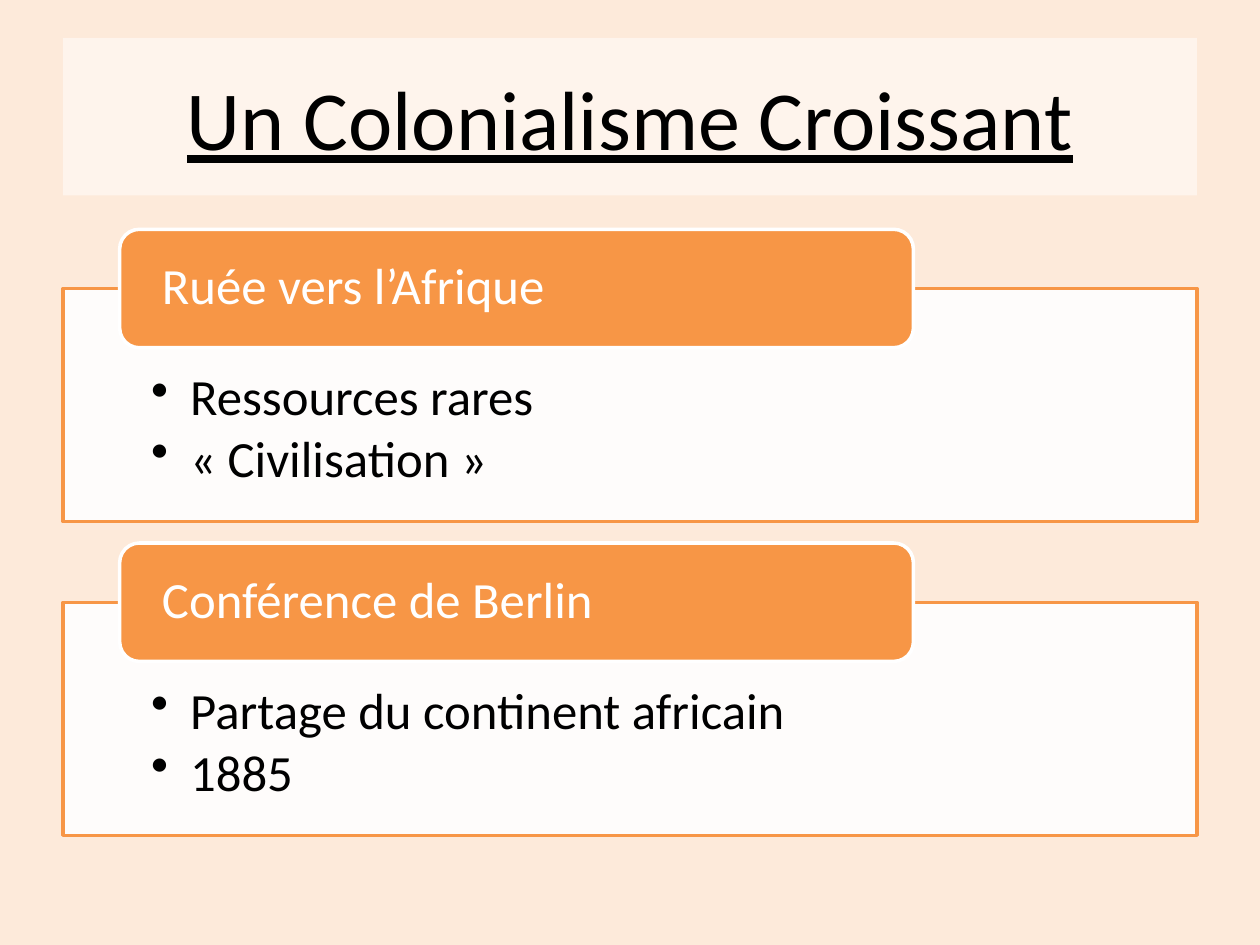
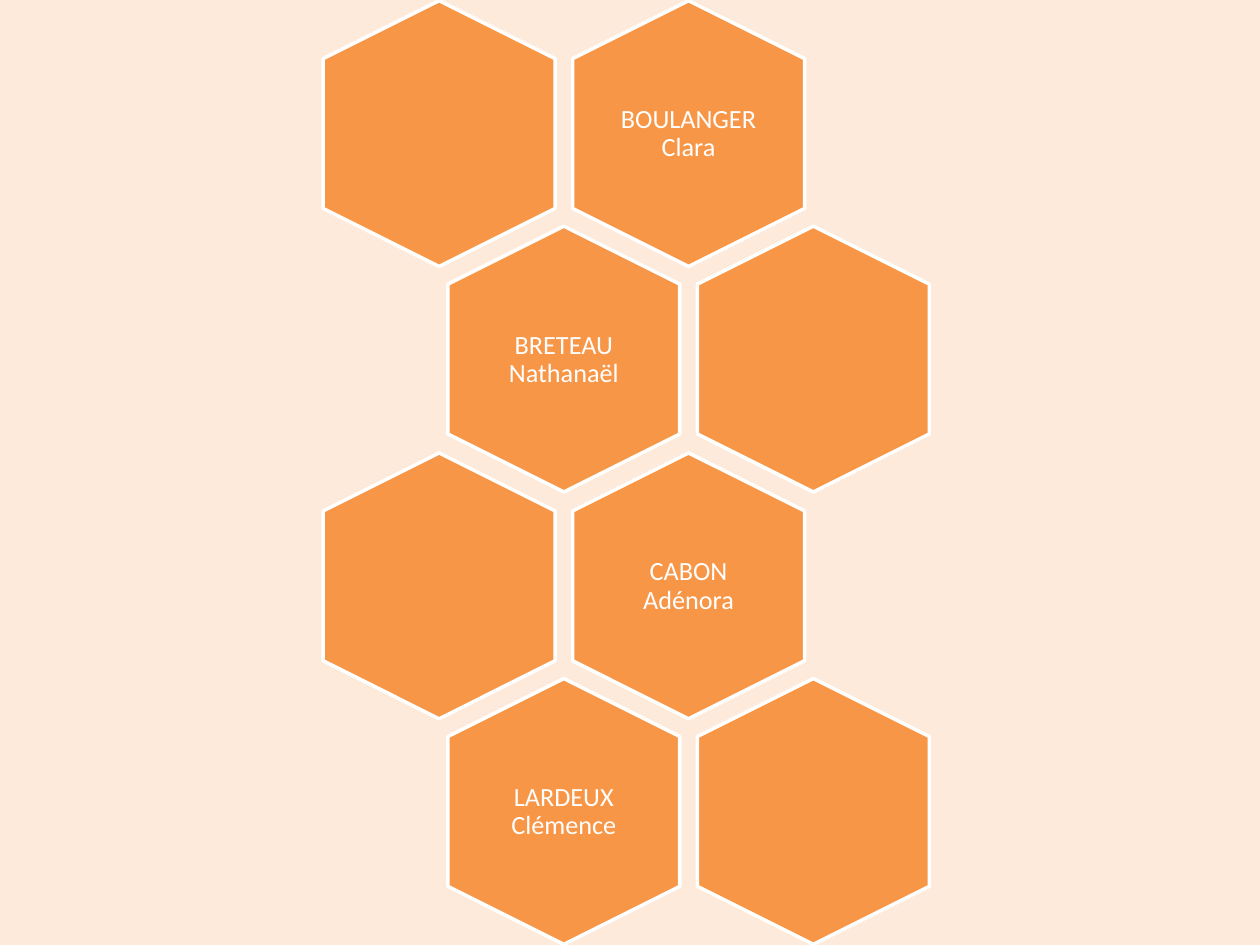
"""Build two slides on colonialism: topic panels and a honeycomb of names."""
from dataclasses import dataclass
from typing import Any, NamedTuple

from lxml.etree import SubElement
from pptx import Presentation
from pptx.dml.color import RGBColor
from pptx.enum.shapes import MSO_SHAPE
from pptx.enum.text import MSO_ANCHOR, PP_ALIGN
from pptx.oxml.ns import qn
from pptx.shapes.autoshape import Shape
from pptx.slide import Slide
from pptx.util import Emu, Pt

EMU_PER_PX = 9144
COLORS = {"page": "FDEADA", "accent": "F79646", "white": "FFFFFF", "black": "000000"}
FONT = "Calibri"
OUTLINE_PT = 2
BULLET_INDENT = 31
PANEL_PITCH = 249
HEX_COLUMN_PITCH, HEX_ROW_SHIFT, HEX_ROW_PITCH = 198, 99, 179.4


class Box(NamedTuple):
    """Left, top, width and height in px."""

    left: int
    top: int
    width: int
    height: int

    def moved(self, right: int, down: int) -> "Box":
        """Return the same box at another place."""
        return self._replace(left=self.left + right, top=self.top + down)

    def emu(self) -> list[Emu]:
        """Return the four lengths in EMU."""
        return [px(length) for length in self]


@dataclass(frozen=True)
class Look:
    """Fill, opacity and outline of a shape."""

    fill: str
    opacity: int = 100
    outline: str | None = None


@dataclass(frozen=True)
class TextStyle:
    """Size, colour and layout of a text; insets are in px."""

    size: int
    color: str
    insets: tuple[int, int, int, int]
    align: PP_ALIGN = PP_ALIGN.LEFT
    anchor: MSO_ANCHOR = MSO_ANCHOR.MIDDLE
    line_spacing: float = 0.9
    space_after: int = 0
    underline: bool = False
    bulleted: bool = False


@dataclass(frozen=True)
class Topic:
    """A heading and its points."""

    heading: str
    points: tuple[str, ...]


TITLE_BOX = Box(50, 30, 900, 125)
PANEL_BOX = Box(50, 229, 900, 185)
HEADING_BOX = Box(95, 182, 630, 94)
HEX_BOX = Box(243, 14, 211, 184)
NAME_BOX = HEX_BOX.moved(42, 20)._replace(width=127, height=145)

TITLE_LOOK = Look("white", opacity=50)
PANEL_LOOK = Look("white", opacity=90, outline="accent")
ACCENT_LOOK = Look("accent", outline="white")

TITLE_STYLE = TextStyle(48, "black", (10, 5, 10, 5), PP_ALIGN.CENTER,
                        line_spacing=1.0, underline=True)
POINT_STYLE = TextStyle(29, "black", (70, 66, 70, 23), anchor=MSO_ANCHOR.TOP,
                        space_after=4, bulleted=True)
HEADING_STYLE = TextStyle(29, "white", (29, 0, 29, 0))
NAME_STYLE = TextStyle(15, "white", (6, 6, 6, 6), PP_ALIGN.CENTER)

TITLE = "Un Colonialisme Croissant"
TOPICS = (
    Topic("Ruée vers l’Afrique", ("Ressources rares", "«\u00a0Civilisation\u00a0»".replace("\u00a0", chr(160)))),
    Topic("Conférence de Berlin", ("Partage du continent africain", "1885")),
)
HONEYCOMB = (
    (None, "BOULANGER Clara"),
    ("BRETEAU Nathanaël", None),
    (None, "CABON Adénora"),
    ("LARDEUX Clémence", None),
)


def px(length: float) -> Emu:
    """Turn px into EMU."""
    return Emu(round(length * EMU_PER_PX))


def rgb(color: str) -> RGBColor:
    """Look up a named colour."""
    return RGBColor.from_string(COLORS[color])


def apply_format(target: Any, values: dict[str, Any]) -> None:
    """Set each format value on the target."""
    for attribute, value in values.items():
        setattr(target, attribute, value)


def add_bullet(paragraph: Any) -> None:
    """Give a paragraph a hanging round bullet."""
    properties = paragraph._p.get_or_add_pPr()
    properties.set("marL", str(px(BULLET_INDENT)))
    properties.set("indent", str(px(-BULLET_INDENT)))
    SubElement(properties, qn("a:buChar")).set("char", "•")


def write_text(holder: Shape, lines: tuple[str, ...], style: TextStyle) -> None:
    """Write one paragraph per line in the given style."""
    frame = holder.text_frame
    sides = ("margin_left", "margin_top", "margin_right", "margin_bottom")
    apply_format(frame, {"word_wrap": True, "vertical_anchor": style.anchor,
                         **dict(zip(sides, map(px, style.insets)))})
    for index, line in enumerate(lines):
        paragraph = frame.add_paragraph() if index else frame.paragraphs[0]
        apply_format(paragraph, {"alignment": style.align,
                                 "line_spacing": style.line_spacing,
                                 "space_after": Pt(style.space_after)})
        if style.bulleted:
            add_bullet(paragraph)
        run = paragraph.add_run()
        run.text = line
        apply_format(run.font, {"name": FONT, "size": Pt(style.size),
                                "underline": style.underline})
        run.font.color.rgb = rgb(style.color)


def draw_shape(slide: Slide, preset: MSO_SHAPE, box: Box, look: Look) -> Shape:
    """Draw a preset shape with its fill and outline."""
    shape = slide.shapes.add_shape(preset, *box.emu())
    shape.shadow.inherit = False
    shape.fill.solid()
    shape.fill.fore_color.rgb = rgb(look.fill)
    if look.opacity < 100:
        fill_color = shape._element.spPr.find(qn("a:solidFill")).find(qn("a:srgbClr"))
        SubElement(fill_color, qn("a:alpha")).set("val", str(look.opacity * 1000))
    if look.outline:
        shape.line.color.rgb = rgb(look.outline)
        shape.line.width = Pt(OUTLINE_PT)
    else:
        shape.line.fill.background()
    return shape


def add_page(deck: Any) -> Slide:
    """Add a blank slide with the shared background."""
    slide = deck.slides.add_slide(deck.slide_layouts[6])
    slide.background.fill.solid()
    slide.background.fill.fore_color.rgb = rgb("page")
    return slide


def draw_topic(slide: Slide, topic: Topic, down: int) -> None:
    """Draw a panel of points with its heading over the top edge."""
    panel = draw_shape(slide, MSO_SHAPE.RECTANGLE, PANEL_BOX.moved(0, down), PANEL_LOOK)
    write_text(panel, topic.points, POINT_STYLE)
    heading = draw_shape(slide, MSO_SHAPE.ROUNDED_RECTANGLE,
                         HEADING_BOX.moved(0, down), ACCENT_LOOK)
    write_text(heading, (topic.heading,), HEADING_STYLE)


def draw_cell(slide: Slide, name: str | None, right: int, down: int) -> None:
    """Draw an upright hexagon and the name it may hold."""
    cell = draw_shape(slide, MSO_SHAPE.HEXAGON, HEX_BOX.moved(right, down), ACCENT_LOOK)
    cell.rotation = 90
    cell.adjustments[0] = 0.25
    if name:
        label = slide.shapes.add_textbox(*NAME_BOX.moved(right, down).emu())
        write_text(label, (name,), NAME_STYLE)


def build_topics(deck: Any) -> None:
    """Build the slide of titled topics."""
    slide = add_page(deck)
    title = draw_shape(slide, MSO_SHAPE.RECTANGLE, TITLE_BOX, TITLE_LOOK)
    write_text(title, (TITLE,), TITLE_STYLE)
    for index, topic in enumerate(TOPICS):
        draw_topic(slide, topic, index * PANEL_PITCH)


def build_honeycomb(deck: Any) -> None:
    """Build the slide of names, shifting every second row."""
    slide = add_page(deck)
    for row, names in enumerate(HONEYCOMB):
        for column, name in enumerate(names):
            right = column * HEX_COLUMN_PITCH + row % 2 * HEX_ROW_SHIFT
            draw_cell(slide, name, right, round(row * HEX_ROW_PITCH))


def main() -> None:
    """Build and save the presentation."""
    deck = Presentation()
    apply_format(deck, {"slide_width": px(1000), "slide_height": px(750)})
    build_topics(deck)
    build_honeycomb(deck)
    deck.save("out.pptx")


if __name__ == "__main__":
    main()
